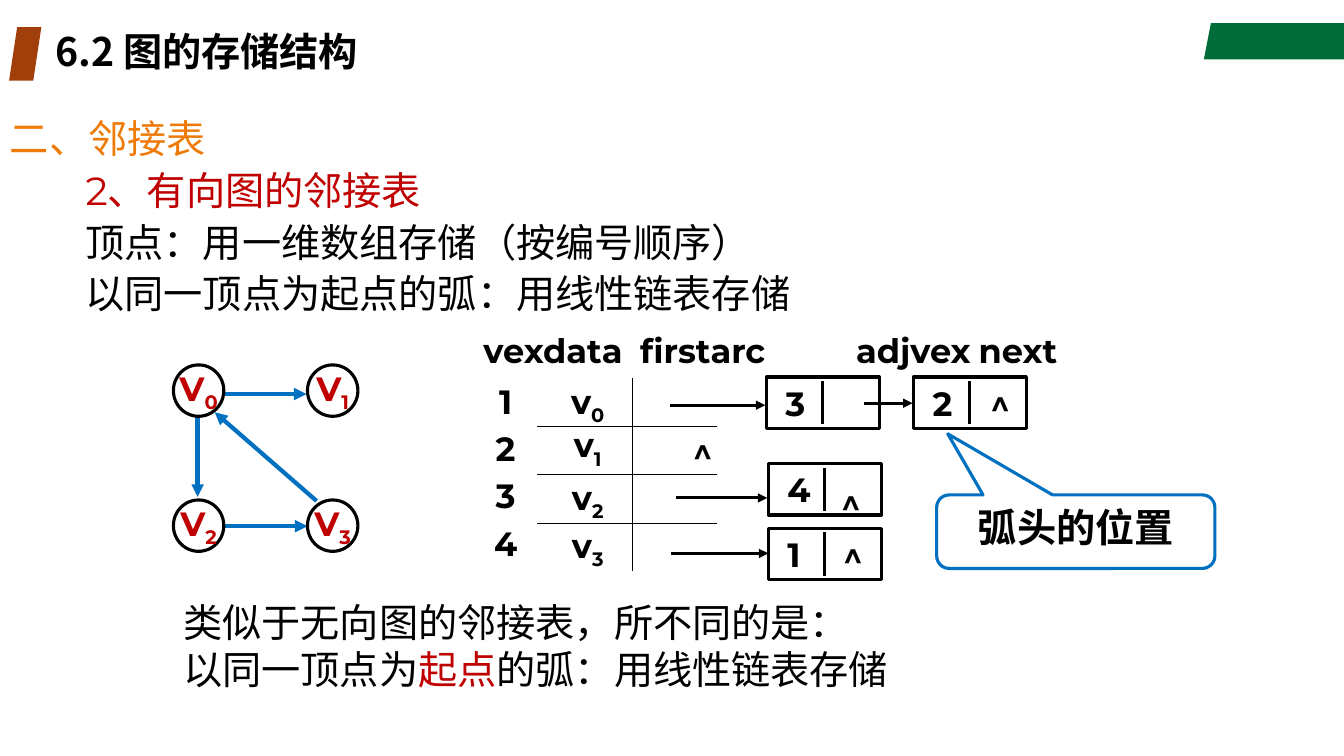
from lxml import etree
from pptx import Presentation
from pptx import util as u
from pptx.dml import color
from pptx.enum import shapes, text
from pptx.oxml import ns

COLORS = {"ink": "000000", "paper": "FFFFFF", "green": "006C39", "rust": "A13F0B",
          "orange": "EE7B08", "red": "C00000", "blue": "0070C0"}
LATIN, CJK = "Montserrat", "Noto Sans CJK SC"
COLS, ROWS = 13.33, 7.5
SHAPE, ALIGN, ANCHOR = shapes.MSO_SHAPE, text.PP_ALIGN, text.MSO_ANCHOR


def rgb(name):
    return color.RGBColor.from_string(COLORS[name])


def add_run(p, words, size=24, tint="ink", bold=False, font=LATIN, ea=LATIN, sub=False):
    r = p.add_run()
    r.text = words
    r.font.size = u.Pt(size)
    r.font.bold = bold
    r.font.color.rgb = rgb(tint)
    r.font.name = font
    rPr = r.font._element
    etree.SubElement(rPr, ns.qn("a:ea")).set("typeface", ea)
    if sub:
        rPr.set("baseline", "-25000")


class Board:
    def __init__(self, prs):
        self.prs = prs
        self.s = prs.slides.add_slide(prs.slide_layouts[5])

    def x(self, cols):
        return round(self.prs.slide_width * cols / COLS)

    def y(self, rows):
        return round(self.prs.slide_height * rows / ROWS)

    def box(self, x, y, w, h):
        return self.x(x), self.y(y), self.x(w), self.y(h)

    def style(self, sp, fill=None, line=None, weight=2.25):
        sp.shadow.inherit = False
        if fill:
            sp.fill.solid()
            sp.fill.fore_color.rgb = rgb(fill)
        else:
            sp.fill.background()
        if line:
            sp.line.color.rgb = rgb(line)
            sp.line.width = u.Pt(weight)
        else:
            sp.line.fill.background()
        return sp

    def fill_text(self, sp, paras, align=ALIGN.LEFT, anchor=ANCHOR.MIDDLE,
                  wrap=False, spacing=None, indents=None):
        tf = sp.text_frame
        tf.word_wrap = wrap
        tf.vertical_anchor = anchor
        for i, runs in enumerate(paras):
            p = tf.paragraphs[0] if i == 0 else tf.add_paragraph()
            p.alignment = align
            if spacing:
                p.line_spacing = spacing
            if indents:
                p._p.get_or_add_pPr().set("marL", str(self.x(indents[i])))
            for words, fmt in runs:
                add_run(p, words, **fmt)
        return sp

    def title(self, words, *at):
        sp = self.s.shapes.title
        sp.left, sp.top, sp.width, sp.height = self.box(*at)
        self.fill_text(sp, [[(words, dict(size=28, bold=True, font=CJK, ea=CJK))]],
                       wrap=True, spacing=0.9)

    def text(self, paras, *at, **layout):
        return self.fill_text(self.s.shapes.add_textbox(*self.box(*at)), paras, **layout)

    def label(self, words, *at):
        self.text([[(words, dict(bold=True))]], *at, align=ALIGN.CENTER)

    def shape(self, kind, *at, adj=(), **look):
        sp = self.s.shapes.add_shape(kind, *self.box(*at))
        for i, value in enumerate(adj):
            sp.adjustments[i] = value
        return self.style(sp, **look)

    def outline(self, points, fill):
        pts = [(self.x(a), self.y(b)) for a, b in points]
        builder = self.s.shapes.build_freeform(*pts[0])
        builder.add_line_segments(pts[1:], close=True)
        self.style(builder.convert_to_shape(), fill)

    def line(self, x1, y1, x2, y2, tint="ink", weight=2.25, arrow=False):
        c = self.s.shapes.add_connector(shapes.MSO_CONNECTOR.STRAIGHT, self.x(x1),
                                        self.y(y1), self.x(x2), self.y(y2))
        c.line.color.rgb = rgb(tint)
        c.line.width = u.Pt(weight)
        if arrow:
            ln = c.line._get_or_add_ln()
            etree.SubElement(ln, ns.qn("a:tailEnd")).set("type", "triangle")
        etree.SubElement(c._element.spPr, ns.qn("a:effectLst"))

    def node(self, value, x, y):
        sp = self.shape(SHAPE.RECTANGLE, x, y, 1.12, 0.51, line="ink")
        self.fill_text(sp, [[(value, dict(bold=True))]], wrap=True)
        sp.text_frame.margin_left = self.x(0.19)
        self.line(x + 0.56, y + 0.04, x + 0.56, y + 0.47)

    def vertex(self, index, x, y):
        sp = self.shape(SHAPE.OVAL, x, y, 0.5, 0.51, line="ink")
        self.fill_text(sp, [subscripted("V", index, "red")], align=ALIGN.CENTER)


def subscripted(letter, index, tint="ink"):
    fmt = dict(bold=True, tint=tint)
    return [(letter, fmt), (str(index), dict(fmt, sub=True))]


def draw_header(b):
    b.outline([(12.01, 0.23), (13.33, 0.23), (13.33, 0.59), (11.94, 0.59)], "green")
    b.shape(SHAPE.PARALLELOGRAM, 0.09, 0.27, 0.32, 0.53, adj=[0.25], fill="rust")
    b.title("6.2 图的存储结构", 0.45, 0.27, 9.45, 0.53)
    body = [("二、邻接表", "orange"), ("2、有向图的邻接表", "red"),
            ("顶点：用一维数组存储（按编号顺序）", "ink"),
            ("以同一顶点为起点的弧：用线性链表存储", "ink")]
    b.text([[(words, dict(size=28, tint=tint))] for words, tint in body],
           0, 1.04, 11.5, 2.2, anchor=ANCHOR.TOP, wrap=True, spacing=1.1,
           indents=[0, 0.75, 0.75, 0.75])


def draw_adjacency_list(b):
    for i in range(1, 4):
        b.line(5.33, 3.75 + 0.48 * i, 7.11, 3.75 + 0.48 * i, weight=0.75)
    b.line(6.27, 3.75, 6.27, 5.66, weight=0.75)
    for i, top in enumerate([3.75, 4.18, 4.7, 5.18]):
        b.label(str(i + 1), 4.8, 3.72 + 0.47 * i, 0.43, 0.51)
        b.text([subscripted("v", i)], 5.55, top, 0.56, 0.51, align=ALIGN.CENTER)
    for words, x, w in [("vexdata", 4.66, 1.65), ("firstarc", 6.19, 1.56),
                        ("adjvex", 8.36, 1.4), ("next", 9.59, 1.01)]:
        b.label(words, x, 3.22, w, 0.5)
    for value, x, y in [("3", 7.6, 3.74), ("2", 9.06, 3.74),
                        ("4", 7.62, 4.6), ("1", 7.62, 5.24)]:
        b.node(value, x, y)
    for start, end, y in [(6.65, 7.59, 4.02), (8.57, 9.05, 4),
                          (6.7, 7.61, 4.94), (6.66, 7.62, 5.49)]:
        b.line(start, y, end, y, arrow=True)
    for x, y in [(9.71, 3.75), (8.23, 4.73), (6.76, 4.23), (8.25, 5.26)]:
        b.label("^", x, y, 0.42, 0.5)


def draw_summary(b):
    plain = dict(size=28, font=CJK)
    sp = b.text([[("类似于无向图的邻接表，所不同的是：", plain)],
                 [("以同一顶点为", plain), ("起点", dict(plain, tint="red")),
                  ("的弧：用线性链表存储", plain)]],
                1.72, 5.89, 7.87, 1.51, anchor=ANCHOR.TOP, wrap=True)
    b.style(sp, "paper")


def draw_graph(b):
    for ends in [(1.96, 4.14, 1.96, 4.93), (2.22, 5.22, 3.05, 5.22),
                 (2.22, 3.91, 3.04, 3.91), (3.14, 4.97, 2.13, 4.09)]:
        b.line(*ends, tint="blue", weight=3, arrow=True)
    for i in range(4):
        row, col = divmod(i, 2)
        b.vertex(i, 1.72 + 1.33 * col, 3.62 + 1.34 * row)


def draw_callout(b):
    sp = b.shape(SHAPE.ROUNDED_RECTANGULAR_CALLOUT, 9.29, 4.91, 2.76, 0.73,
                 adj=[-0.46, -1.33, 0.17], line="blue")
    b.fill_text(sp, [[("弧头的位置", dict(size=28, bold=True))]],
                align=ALIGN.CENTER, anchor=ANCHOR.TOP, wrap=True)


def main():
    prs = Presentation()
    prs.slide_width, prs.slide_height = u.Inches(COLS), u.Inches(ROWS)
    b = Board(prs)
    for draw in (draw_header, draw_adjacency_list, draw_summary, draw_graph, draw_callout):
        draw(b)
    prs.save("out.pptx")


if __name__ == "__main__":
    main()
